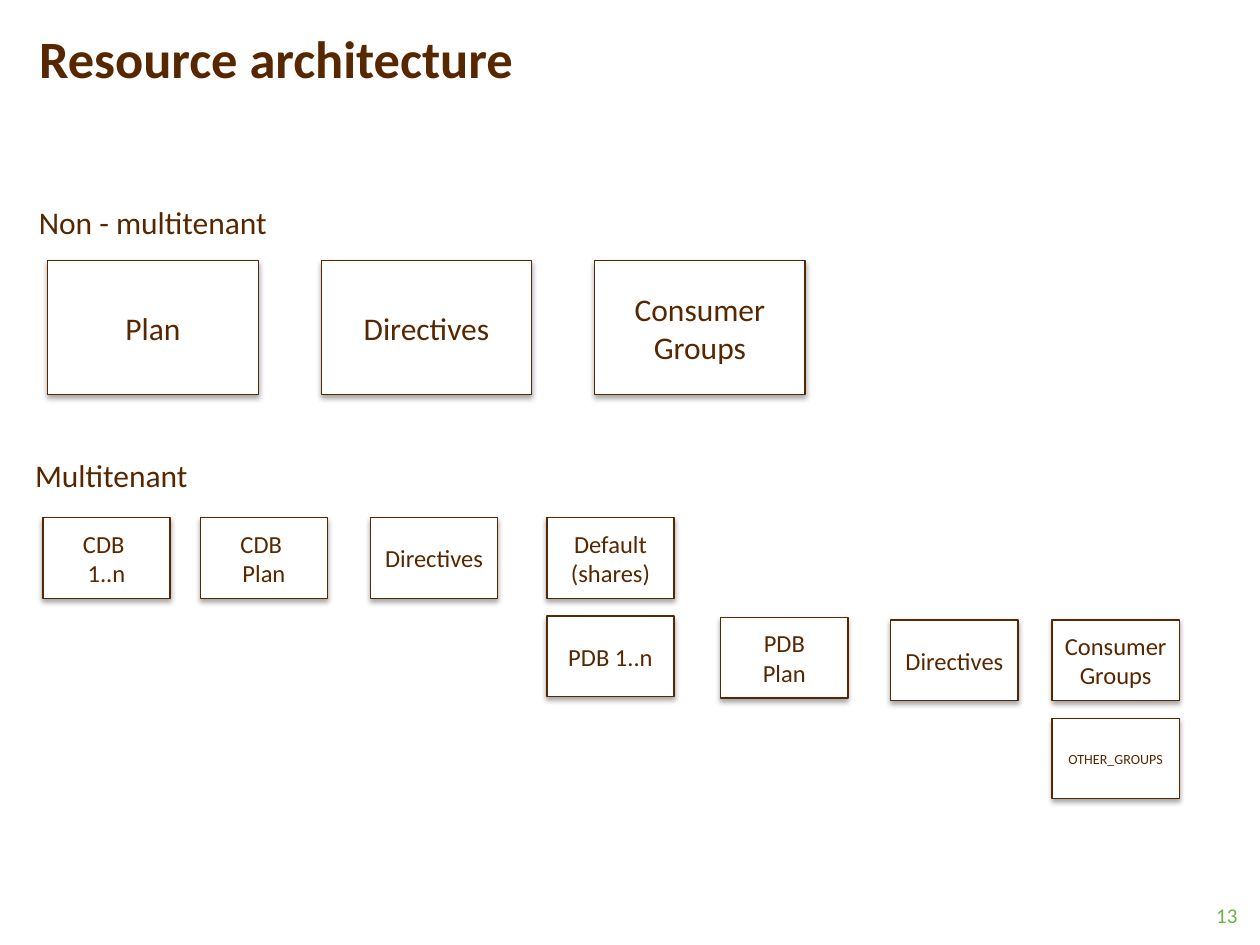
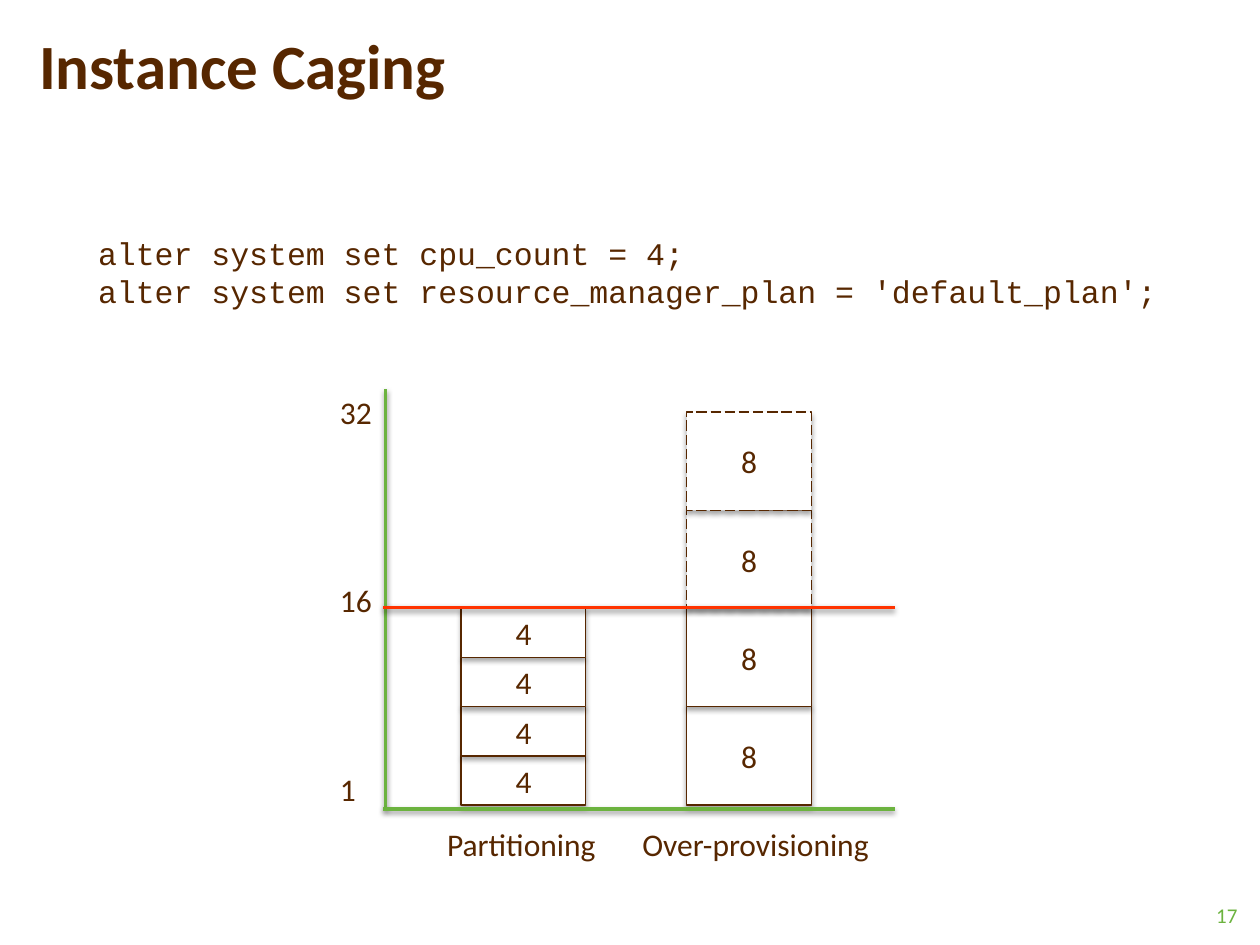
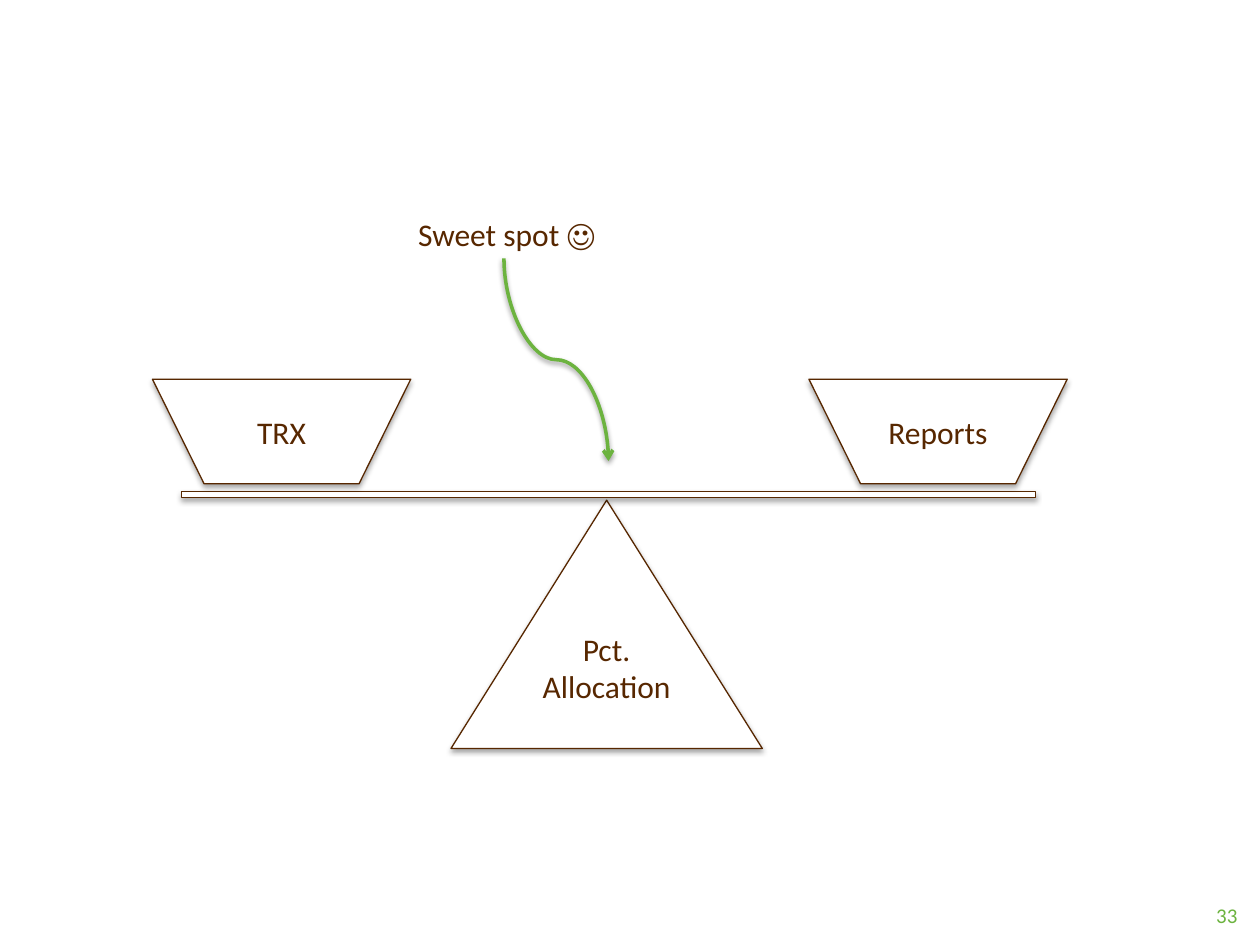
import pptx
import pptx.util
import pptx.dml.color
import pptx.enum.dml
import pptx.enum.shapes
import pptx.enum.text
import pptx.oxml
import pptx.oxml.ns

Inches = pptx.util.Inches
Pt = pptx.util.Pt
ALIGN = pptx.enum.text.PP_ALIGN
ANCHOR = pptx.enum.text.MSO_ANCHOR
SHAPE = pptx.enum.shapes.MSO_SHAPE
CONNECTOR = pptx.enum.shapes.MSO_CONNECTOR

BROWN, GREEN, RED, WHITE = "572700", "6CB33F", "FF3300", "FFFFFF"
TITLE_ONLY, BLANK = 5, 6


def colour(value):
    return pptx.dml.color.RGBColor.from_string(value)


def write(frame, text, size=18, color=BROWN, font="Calibri", bold=False,
          align=ALIGN.LEFT, anchor=ANCHOR.TOP, wrap=True, gap=0):
    frame.word_wrap = wrap
    frame.auto_size = pptx.enum.text.MSO_AUTO_SIZE.NONE
    frame.vertical_anchor = anchor
    for number, line in enumerate(text.split("\n")):
        paragraph = frame.add_paragraph() if number else frame.paragraphs[0]
        paragraph.alignment = align
        if number and gap:
            paragraph.space_before = Pt(gap)
        run = paragraph.add_run()
        run.text = line
        run.font.size = Pt(size)
        run.font.name = font
        run.font.bold = bold
        run.font.color.rgb = colour(color)


def label(slide, text, left, top, width, height=0.4, **style):
    box = slide.shapes.add_textbox(Inches(left), Inches(top), Inches(width), Inches(height))
    write(box.text_frame, text, **style)


def add_shadow(shape, alpha, distance):
    properties = shape._element.spPr
    for old in properties.findall(pptx.oxml.ns.qn("a:effectLst")):
        properties.remove(old)
    properties.append(pptx.oxml.parse_xml(
        f'<a:effectLst {pptx.oxml.ns.nsdecls("a")}>'
        f'<a:outerShdw blurRad="{Pt(3.1)}" dist="{Pt(distance)}" dir="5400000" rotWithShape="0">'
        f'<a:srgbClr val="000000"><a:alpha val="{alpha * 1000}"/></a:srgbClr>'
        '</a:outerShdw></a:effectLst>'))


def block(slide, text, left, top, width, height, kind=SHAPE.RECTANGLE,
          dashed=False, bottom=0.05, size=18):
    shape = slide.shapes.add_shape(kind, Inches(left), Inches(top), Inches(width), Inches(height))
    shape.fill.solid()
    shape.fill.fore_color.rgb = colour(WHITE)
    shape.line.color.rgb = colour(BROWN)
    shape.line.width = Pt(0.75)
    if dashed:
        shape.line.dash_style = pptx.enum.dml.MSO_LINE.LONG_DASH
    add_shadow(shape, 35, 1.8)
    if text:
        frame = shape.text_frame
        frame.margin_left = frame.margin_right = Inches(0.05)
        frame.margin_bottom = Inches(bottom)
        write(frame, text, size=size, align=ALIGN.CENTER, anchor=ANCHOR.MIDDLE)


def stroke(slide, start, end, color=GREEN, kind=CONNECTOR.STRAIGHT):
    line = slide.shapes.add_connector(kind, *(Inches(value) for value in start + end))
    line.line.color.rgb = colour(color)
    line.line.width = Pt(2)
    add_shadow(line, 38, 1.6)
    return line


def new_slide(deck, number, title=None, title_size=36):
    slide = deck.slides.add_slide(deck.slide_layouts[TITLE_ONLY if title else BLANK])
    if title:
        heading = slide.shapes.title
        heading.left, heading.top = Inches(0.21), Inches(0.16)
        heading.width, heading.height = Inches(6.57), Inches(0.89)
        write(heading.text_frame, title, size=title_size, bold=True)
    label(slide, str(number), 9.31, 7.06, 0.61, size=12, color=GREEN,
          align=ALIGN.RIGHT, anchor=ANCHOR.MIDDLE)
    return slide


def non_multitenant(slide, left, top):
    label(slide, "Non - multitenant", left, top, 2.04, wrap=False)
    for column, part in enumerate(["Plan", "Directives", "Consumer Groups"]):
        block(slide, part, left + 0.17 + column * 2.17, top + 0.51, 1.67, 1.06)


def multitenant(slide, left, top):
    label(slide, "Multitenant", left, top, 1.43, wrap=False)
    parts = [
        ("CDB \n1..n", 0.16, 0.54, 14),
        ("CDB \nPlan", 1.41, 0.54, 14),
        ("Directives", 2.76, 0.54, 14),
        ("Default\n(shares)", 4.16, 0.54, 14),
        ("PDB 1..n", 4.16, 1.32, 14),
        ("PDB\nPlan", 5.54, 1.33, 14),
        ("Directives", 6.89, 1.35, 14),
        ("Consumer Groups", 8.17, 1.35, 14),
        ("OTHER_GROUPS", 8.17, 2.13, 8),
    ]
    for part, x, y, size in parts:
        block(slide, part, left + x, top + y, 1.01, 0.64, size=size)


def cpu_stack(slide, left, base, cpus, height, solid):
    for level in range(4):
        block(slide, cpus, left, base - (level + 1) * height, 0.99, height,
              dashed=level >= solid)


def cpu_diagram(slide, left, top):
    base = top + 3.35
    cpu_stack(slide, left + 1.06, base - 0.03, "4", 0.39, 4)
    cpu_stack(slide, left + 2.85, base - 0.03, "8", 0.78, 2)
    stroke(slide, (left + 0.46, top + 0.02), (left + 0.46, base))
    for y, color in [(base, GREEN), (base - 1.6, RED)]:
        stroke(slide, (left + 0.44, y), (left + 4.5, y), color)
    label(slide, "Partitioning", left + 0.85, top + 3.43, 1.4, wrap=False)
    label(slide, "Over-provisioning", left + 2.4, top + 3.43, 2.02, wrap=False)
    label(slide, "32\n16\n1", left, top, 0.46, 3.43, gap=86)


def balance(slide, left, top):
    block(slide, "Pct. Allocation", left + 2.37, top + 0.96, 2.47, 1.97,
          kind=SHAPE.ISOSCELES_TRIANGLE, bottom=0.35)
    block(slide, "", left + 0.23, top + 0.89, 6.78, 0.05)
    for load, x in [("TRX", 0), ("Reports", 5.21)]:
        block(slide, load, left + x, top, 2.05, 0.83, kind=SHAPE.FLOWCHART_MANUAL_OPERATION)


def sweet_spot(slide, left, top):
    pointer = stroke(slide, (left + 0.39, top + 0.78), (left + 2, top + 1.61),
                     kind=CONNECTOR.CURVE)
    frame = pointer._element.spPr.find(pptx.oxml.ns.qn("a:xfrm"))
    frame.set("rot", str(270 * 60000))
    frame.set("flipH", "1")
    pointer.line._get_or_add_ln().append(pptx.oxml.parse_xml(
        f'<a:tailEnd {pptx.oxml.ns.nsdecls("a")} type="arrow"/>'))
    label(slide, "Sweet spot ☺", left, top, 1.61, wrap=False)


def main():
    deck = pptx.Presentation()
    deck.slide_width, deck.slide_height = Inches(10), Inches(7.5)

    architecture = new_slide(deck, 13, "Resource architecture", 30)
    non_multitenant(architecture, 0.21, 1.56)
    multitenant(architecture, 0.18, 3.57)

    caging = new_slide(deck, 17, "Instance Caging")
    label(caging, "alter system set cpu_count = 4;\n"
          "alter system set resource_manager_plan = 'default_plan';",
          0.68, 1.81, 8.64, 0.71, font="Courier New", wrap=False)
    cpu_diagram(caging, 2.6, 3.07)

    allocation = new_slide(deck, 33)
    balance(allocation, 1.21, 3.01)
    sweet_spot(allocation, 3.22, 1.66)

    deck.save("out.pptx")


if __name__ == "__main__":
    main()
